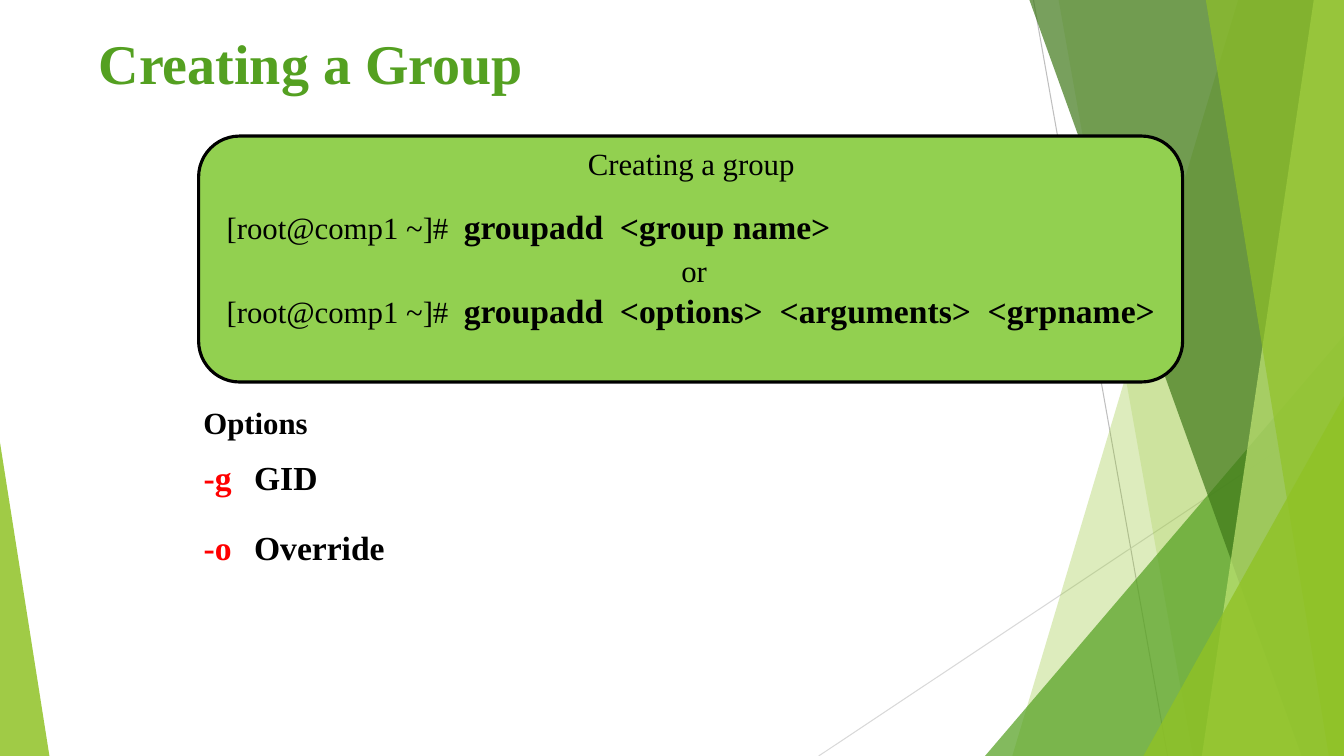
from pptx import Presentation
from pptx.dml.color import RGBColor
from pptx.enum.shapes import MSO_CONNECTOR, MSO_SHAPE
from pptx.enum.text import MSO_ANCHOR, MSO_AUTO_SIZE, PP_ALIGN
from pptx.oxml.ns import qn
from pptx.util import Inches, Pt
from lxml import etree

FONT = "Times New Roman"
BLACK = RGBColor(0x00, 0x00, 0x00)
RED = RGBColor(0xFF, 0x00, 0x00)
GREEN = RGBColor(0x54, 0xA0, 0x21)
DARK_GREEN = RGBColor(0x3F, 0x78, 0x19)
LIME = RGBColor(0x90, 0xC2, 0x26)
PALE_LIME = RGBColor(0xC0, 0xE4, 0x74)
PANEL_GREEN = RGBColor(0x92, 0xD0, 0x50)
GRAY = RGBColor(0xBF, 0xBF, 0xBF)
LIGHT_GRAY = RGBColor(0xD9, 0xD9, 0xD9)

WIDTH, HEIGHT = 13.33, 7.5
PROMPT = "[root@comp1 ~]#  "


def paint(shape, color, opacity):
    shape.shadow.inherit = False
    shape.fill.solid()
    shape.fill.fore_color.rgb = color
    shape.line.fill.background()
    color_element = shape._element.spPr.find(qn("a:solidFill"))[0]
    etree.SubElement(color_element, qn("a:alpha"), val=str(opacity * 1000))


def add_thin_line(slide, start, end, color):
    points = [Inches(value) for value in (*start, *end)]
    line = slide.shapes.add_connector(MSO_CONNECTOR.STRAIGHT, *points)
    line.line.color.rgb = color
    line.line.width = Pt(0.75)
    etree.SubElement(line._element.spPr, qn("a:effectLst"))


def add_facet(slide, top_left, bottom_left, color, opacity):
    builder = slide.shapes.build_freeform(Inches(top_left), 0, scale=1.0)
    corners = [(WIDTH, 0), (WIDTH, HEIGHT), (bottom_left, HEIGHT)]
    builder.add_line_segments([(Inches(x), Inches(y)) for x, y in corners])
    paint(builder.convert_to_shape(), color, opacity)


def add_triangle(slide, left, top, width, apex, color, opacity):
    shape = slide.shapes.add_shape(
        MSO_SHAPE.ISOSCELES_TRIANGLE, Inches(left), Inches(top),
        Inches(width), Inches(HEIGHT - top))
    shape.adjustments[0] = apex
    paint(shape, color, opacity)


def add_backdrop(slide):
    add_thin_line(slide, (10.25, 0), (11.58, HEIGHT), GRAY)
    add_thin_line(slide, (WIDTH, 4.03), (8.12, HEIGHT), LIGHT_GRAY)
    add_facet(slide, 12.28, 10.04, LIME, 30)
    add_facet(slide, 10.5, 11.83, LIME, 20)
    add_triangle(slide, 9.77, 3.33, 3.56, 1, GREEN, 72)
    add_facet(slide, 10.21, 12.91, DARK_GREEN, 70)
    add_facet(slide, 13.03, 11.92, PALE_LIME, 70)
    add_facet(slide, 11.96, 13.18, LIME, 65)
    add_triangle(slide, 11.34, 3.93, 1.99, 1, LIME, 80)
    add_triangle(slide, 0, 4.39, 0.49, 0, LIME, 85)


def add_panel(slide):
    panel = slide.shapes.add_shape(
        MSO_SHAPE.ROUNDED_RECTANGLE, Inches(1.97), Inches(1.35), Inches(9.76), Inches(2.44))
    panel.shadow.inherit = False
    panel.fill.solid()
    panel.fill.fore_color.rgb = PANEL_GREEN
    panel.line.color.rgb = BLACK
    panel.line.width = Pt(2.25)


def add_text_box(slide, left, top, width, height, fill=None):
    box = slide.shapes.add_textbox(Inches(left), Inches(top), Inches(width), Inches(height))
    box.text_frame.word_wrap = True
    if fill is not None:
        box.fill.solid()
        box.fill.fore_color.rgb = fill
    return box.text_frame


def format_paragraph(paragraph, size, color=BLACK, bold=False, align=PP_ALIGN.LEFT):
    paragraph.alignment = align
    paragraph.font.name = FONT
    paragraph.font.size = Pt(size)
    paragraph.font.bold = bold
    paragraph.font.color.rgb = color


def add_commands(slide):
    heading = add_text_box(slide, 2.37, 1.39, 8.97, 0.53, PANEL_GREEN).paragraphs[0]
    heading.text = "Creating a group"
    format_paragraph(heading, 22, align=PP_ALIGN.CENTER)

    frame = add_text_box(slide, 2.15, 1.98, 9.47, 1.36, PANEL_GREEN)
    lines = [
        (PROMPT, "groupadd  <group name>", PP_ALIGN.LEFT),
        ("or", "", PP_ALIGN.CENTER),
        (PROMPT, "groupadd  <options>  <arguments>  <grpname>", PP_ALIGN.LEFT),
    ]
    for index, (lead, command, align) in enumerate(lines):
        paragraph = frame.add_paragraph() if index else frame.paragraphs[0]
        paragraph.line_spacing = Pt(30)
        format_paragraph(paragraph, 22, align=align)
        paragraph.add_run().text = lead
        if command:
            run = paragraph.add_run()
            run.text = command
            run.font.size = Pt(24)
            run.font.bold = True


def place(slide, placeholder, left, top, width, height):
    slide.shapes._spTree.append(placeholder._element)
    placeholder.left, placeholder.top = Inches(left), Inches(top)
    placeholder.width, placeholder.height = Inches(width), Inches(height)
    frame = placeholder.text_frame
    frame.auto_size = MSO_AUTO_SIZE.NONE
    frame.vertical_anchor = MSO_ANCHOR.TOP
    return frame


def set_title(slide):
    frame = place(slide, slide.shapes.title, 0.88, 0.23, 9.4, 1.44)
    frame.text = "Creating a Group"
    format_paragraph(frame.paragraphs[0], 40, GREEN, True)


def add_options(slide):
    frame = place(slide, slide.placeholders[1], 1.92, 4.28, 9.42, 2.54)
    for index, (flag, meaning) in enumerate([("-g", "GID"), ("-o", "Override")]):
        paragraph = frame.add_paragraph() if index else frame.paragraphs[0]
        paragraph.line_spacing = 1.5
        paragraph.space_before = Pt(7 if index else 0)
        properties = paragraph._p.get_or_add_pPr()
        properties.set("marL", "0")
        properties.set("indent", "0")
        etree.SubElement(properties, qn("a:buNone"))
        tabs = etree.SubElement(properties, qn("a:tabLst"))
        etree.SubElement(tabs, qn("a:tab"), pos=str(Inches(0.87)), algn="l")
        format_paragraph(paragraph, 24, bold=True)
        run = paragraph.add_run()
        run.text = flag + "\t"
        run.font.color.rgb = RED
        paragraph.add_run().text = meaning

    label = add_text_box(slide, 1.92, 3.96, 1.56, 0.47).paragraphs[0]
    label.text = "Options"
    format_paragraph(label, 22, bold=True)


def main():
    presentation = Presentation()
    presentation.slide_width = Inches(WIDTH)
    presentation.slide_height = Inches(HEIGHT)
    slide = presentation.slides.add_slide(presentation.slide_layouts[1])
    add_backdrop(slide)
    add_panel(slide)
    add_commands(slide)
    set_title(slide)
    add_options(slide)
    presentation.save("out.pptx")


if __name__ == "__main__":
    main()
